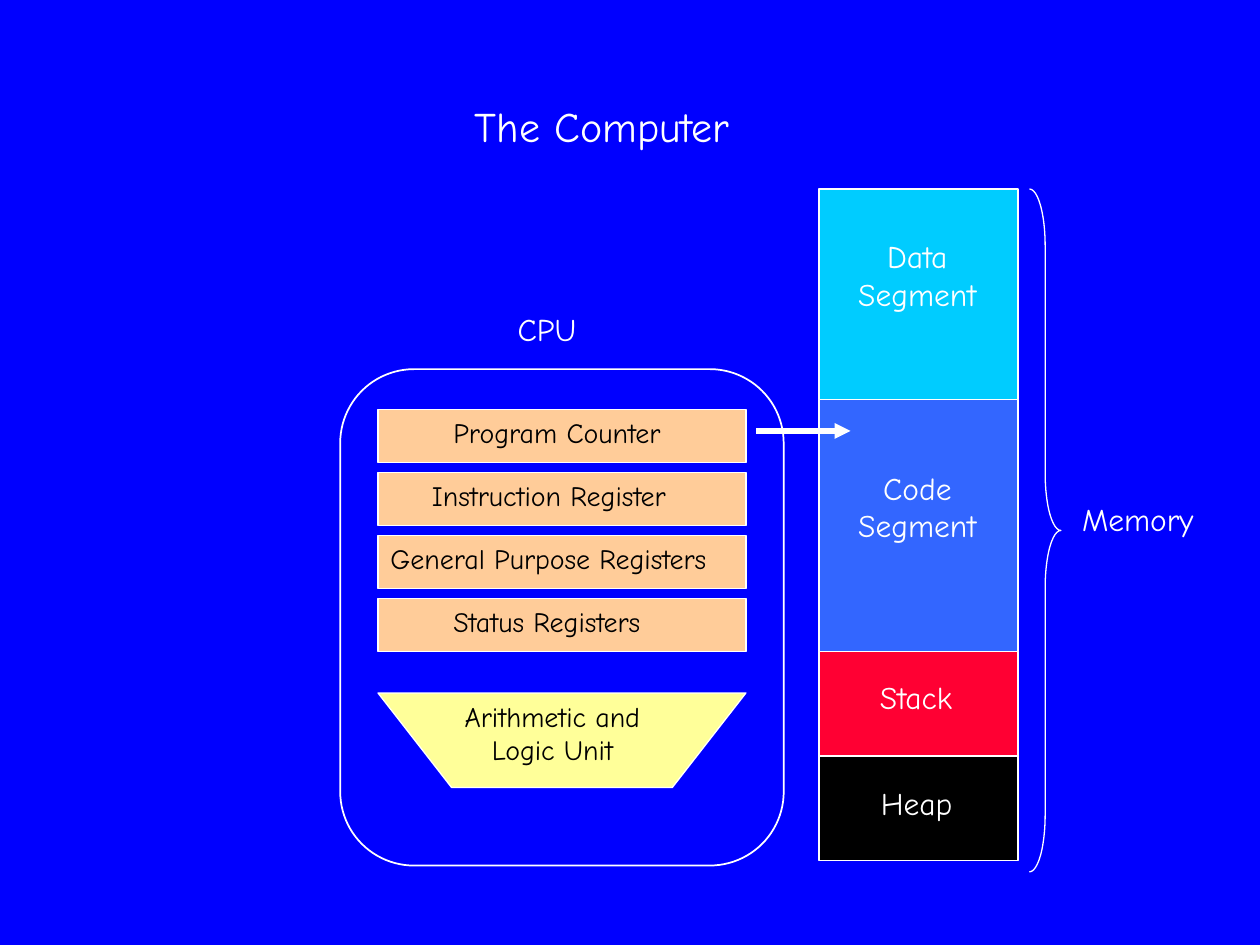
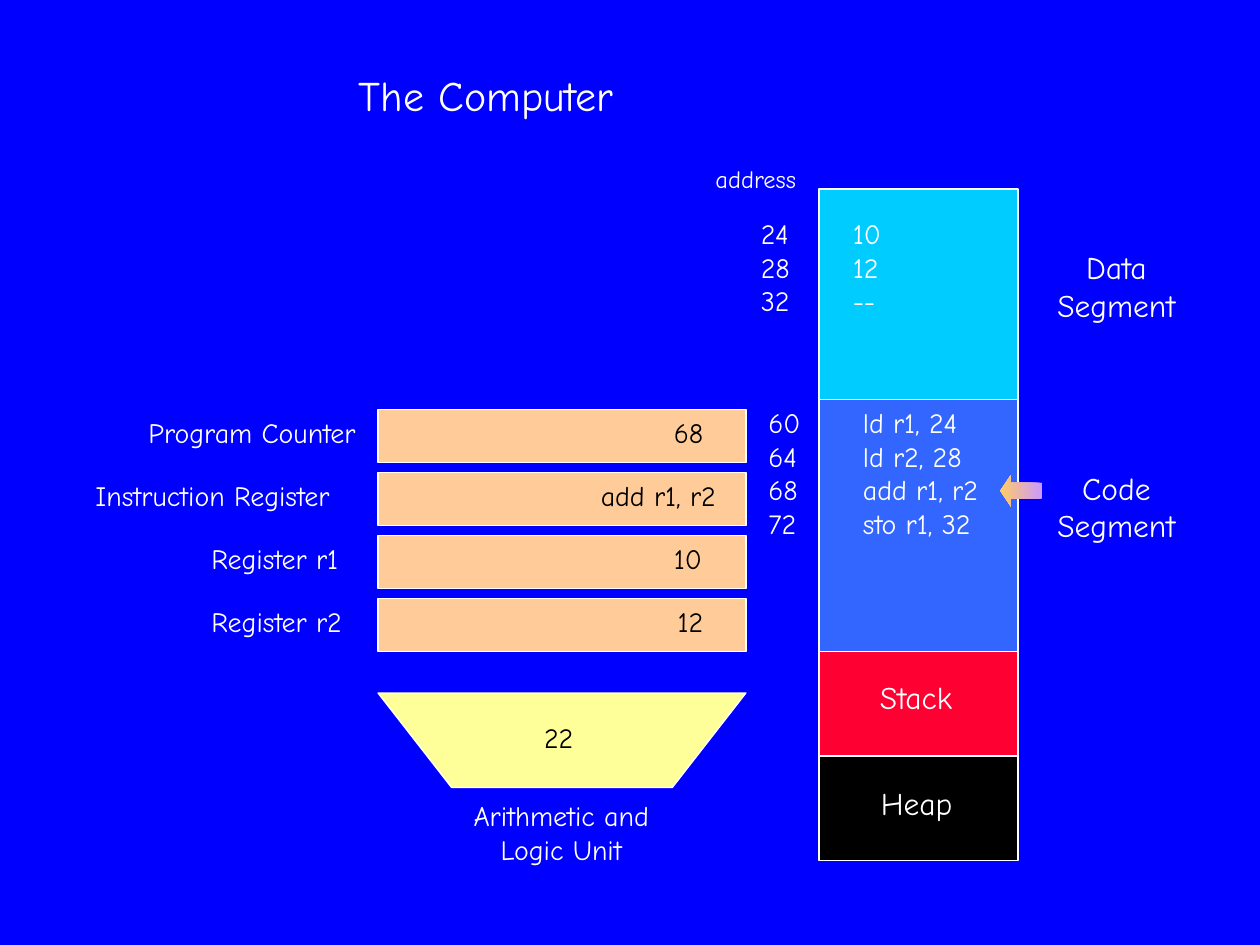
from lxml import etree
from pptx import Presentation
from pptx.dml.color import RGBColor
from pptx.enum import shapes, text
from pptx.oxml.ns import qn
from pptx.util import Inches, Pt

FONT = "Comic Neue"
COLORS = {
    "background": "0000FF", "white": "FFFFFF", "black": "000000",
    "data": "00CCFF", "code": "3366FF", "stack": "FF0033",
    "register": "FFCC99", "unit": "FFFF99",
    "marker_start": "CC99FF", "marker_end": "FFCC66",
}

MEMORY_LEFT, MEMORY_TOP, MEMORY_WIDTH = 6.5, 1.5, 1.58
MEMORY = [("data", 1.67), ("code", 2), ("stack", 0.83), ("heap", 0.83)]
MEMORY_FILLS = {"data": "data", "code": "code", "stack": "stack", "heap": "black"}
REGISTER_LEFT, REGISTER_TOP, REGISTER_STEP = 3, 3.25, 0.5
REGISTER_WIDTH, REGISTER_HEIGHT = 2.92, 0.42
REGISTER_COUNT = 4

DATA_LABEL = ["Data", "Segment"]
CODE_LABEL = ["Code", "Segment"]
UNIT_LABEL = ["Arithmetic and", "Logic Unit"]
SEGMENT_SIZE = (1.22, 0.8)
UNIT_SIZE = (1.77, 0.64)

OVERVIEW_REGISTERS = [
    ("Program Counter", 3.5, 1.94),
    ("Instruction Register", 3.33, 2.34),
    ("General Purpose Registers", 3, 2.92),
    ("Status Registers", 3.5, 1.96),
]
EXAMPLE_REGISTERS = [
    ("Program Counter", 1.08, 1.93),
    ("Instruction Register", 0.66, 2.34),
    ("Register r1", 1.58, 1.36),
    ("Register r2", 1.58, 1.39),
]
REGISTER_VALUES = [
    ("68", 5.25, 0.47),
    ("add r1, r2", 4.67, 1.22),
    ("10", 5.25, 0.44),
    ("12", 5.28, 0.44),
]
MEMORY_COLUMNS = [
    (["24", "28", "32"], (5.94, 1.67, 0.47, 0.9)),
    (["10", "12", "--"], (6.67, 1.67, 0.44, 0.9)),
    (["60", "64", "68", "72"], (6, 3.17, 0.47, 1.34)),
    (["ld r1, 24", "ld r2, 28", "add r1, r2", "sto r1, 32"], (6.75, 3.17, 1.22, 1.34)),
]


def rgb(name):
    return RGBColor.from_string(COLORS[name])


def add_text(page, lines, place, size=16, color="white", centered=False):
    box = page.shapes.add_textbox(*map(Inches, place))
    frame = box.text_frame
    frame.word_wrap = False
    frame.auto_size = text.MSO_AUTO_SIZE.SHAPE_TO_FIT_TEXT
    for index, line in enumerate(lines):
        para = frame.add_paragraph() if index else frame.paragraphs[0]
        para.alignment = text.PP_ALIGN.CENTER if centered else text.PP_ALIGN.LEFT
        span = para.add_run()
        span.text = line
        span.font.name = FONT
        span.font.size = Pt(size)
        span.font.color.rgb = rgb(color)


def add_box(page, kind, place, fill=None, line_width=0.75):
    box = page.shapes.add_shape(kind, *map(Inches, place))
    box.shadow.inherit = False
    if fill:
        box.fill.solid()
        box.fill.fore_color.rgb = rgb(fill)
    else:
        box.fill.background()
    box.line.color.rgb = rgb("white")
    box.line.width = Pt(line_width)
    return box


def add_register_texts(page, rows, height, color):
    for index, (label, left, width) in enumerate(rows):
        top = REGISTER_TOP + index * REGISTER_STEP
        add_text(page, [label], (left, top, width, height), color=color)


def add_computer(deck, title_place):
    page = deck.slides.add_slide(deck.slide_layouts[6])
    page.background.fill.solid()
    page.background.fill.fore_color.rgb = rgb("background")
    add_text(page, ["The Computer"], title_place, size=24)
    top = MEMORY_TOP
    for segment, height in MEMORY:
        place = (MEMORY_LEFT, top, MEMORY_WIDTH, height)
        add_box(page, shapes.MSO_SHAPE.RECTANGLE, place, MEMORY_FILLS[segment])
        top += height
    add_text(page, ["Stack"], (6.83, 5.33, 0.88, 0.45), 18, centered=True)
    add_text(page, ["Heap"], (6.88, 6.17, 0.79, 0.45), 18, centered=True)
    for index in range(REGISTER_COUNT):
        top = REGISTER_TOP + index * REGISTER_STEP
        place = (REGISTER_LEFT, top, REGISTER_WIDTH, REGISTER_HEIGHT)
        add_box(page, shapes.MSO_SHAPE.RECTANGLE, place, "register")
    unit_place = (REGISTER_LEFT, 5.5, REGISTER_WIDTH, 0.75)
    add_box(page, shapes.MSO_SHAPE.FLOWCHART_MANUAL_OPERATION, unit_place, "unit")
    return page


def add_counter_arrow(page):
    ends = map(Inches, (6, 3.42, 6.75, 3.42))
    arrow = page.shapes.add_connector(shapes.MSO_CONNECTOR.STRAIGHT, *ends)
    arrow.line.color.rgb = rgb("white")
    arrow.line.width = Pt(3)
    etree.SubElement(arrow.line._get_or_add_ln(), qn("a:tailEnd"), type="triangle")
    etree.SubElement(arrow._element.spPr, qn("a:effectLst"))


def add_instruction_marker(page):
    marker = add_box(page, shapes.MSO_SHAPE.RIGHT_ARROW, (7.94, 3.77, 0.33, 0.25))
    marker.rotation = 180
    marker.adjustments[1] = 0.33
    marker.line.fill.background()
    marker.fill.gradient()
    marker.fill.gradient_angle = 0
    for stop, name in zip(marker.fill.gradient_stops, ("marker_start", "marker_end")):
        stop.color.rgb = rgb(name)


def build_overview(deck):
    page = add_computer(deck, (3.67, 0.75, 2.39, 0.57))
    add_text(page, DATA_LABEL, (6.67, 1.83, *SEGMENT_SIZE), 18, centered=True)
    add_text(page, CODE_LABEL, (6.67, 3.67, *SEGMENT_SIZE), 18, centered=True)
    brace = add_box(page, shapes.MSO_SHAPE.RIGHT_BRACE, (8.17, 1.5, 0.25, 5.42))
    brace.adjustments[0] = 1.81
    add_text(page, ["Memory"], (8.46, 3.92, 1.14, 0.45), 18, centered=True)
    add_register_texts(page, OVERVIEW_REGISTERS, 0.37, "black")
    add_counter_arrow(page)
    add_text(page, UNIT_LABEL, (3.5, 5.5, *UNIT_SIZE), color="black", centered=True)
    add_box(page, shapes.MSO_SHAPE.ROUNDED_RECTANGLE, (2.7, 2.93, 3.52, 3.94), line_width=1)
    add_text(page, ["CPU"], (4.01, 2.41, 0.67, 0.4), 18)


def build_example(deck):
    page = add_computer(deck, (2.75, 0.5, 2.39, 0.5))
    add_text(page, DATA_LABEL, (8.25, 1.92, *SEGMENT_SIZE), 18, centered=True)
    add_text(page, CODE_LABEL, (8.25, 3.67, *SEGMENT_SIZE), 18, centered=True)
    add_register_texts(page, EXAMPLE_REGISTERS, 0.41, "white")
    add_register_texts(page, REGISTER_VALUES, 0.37, "black")
    add_text(page, ["address"], (5.58, 1.25, 0.92, 0.33), 14)
    for lines, place in MEMORY_COLUMNS:
        add_text(page, lines, place)
    add_instruction_marker(page)
    add_text(page, ["22"], (4.22, 5.67, 0.47, 0.37), color="black")
    add_text(page, UNIT_LABEL, (3.57, 6.29, *UNIT_SIZE), centered=True)


def main():
    deck = Presentation()
    deck.slide_width, deck.slide_height = Inches(10), Inches(7.5)
    build_overview(deck)
    build_example(deck)
    deck.save("out.pptx")


if __name__ == "__main__":
    main()
